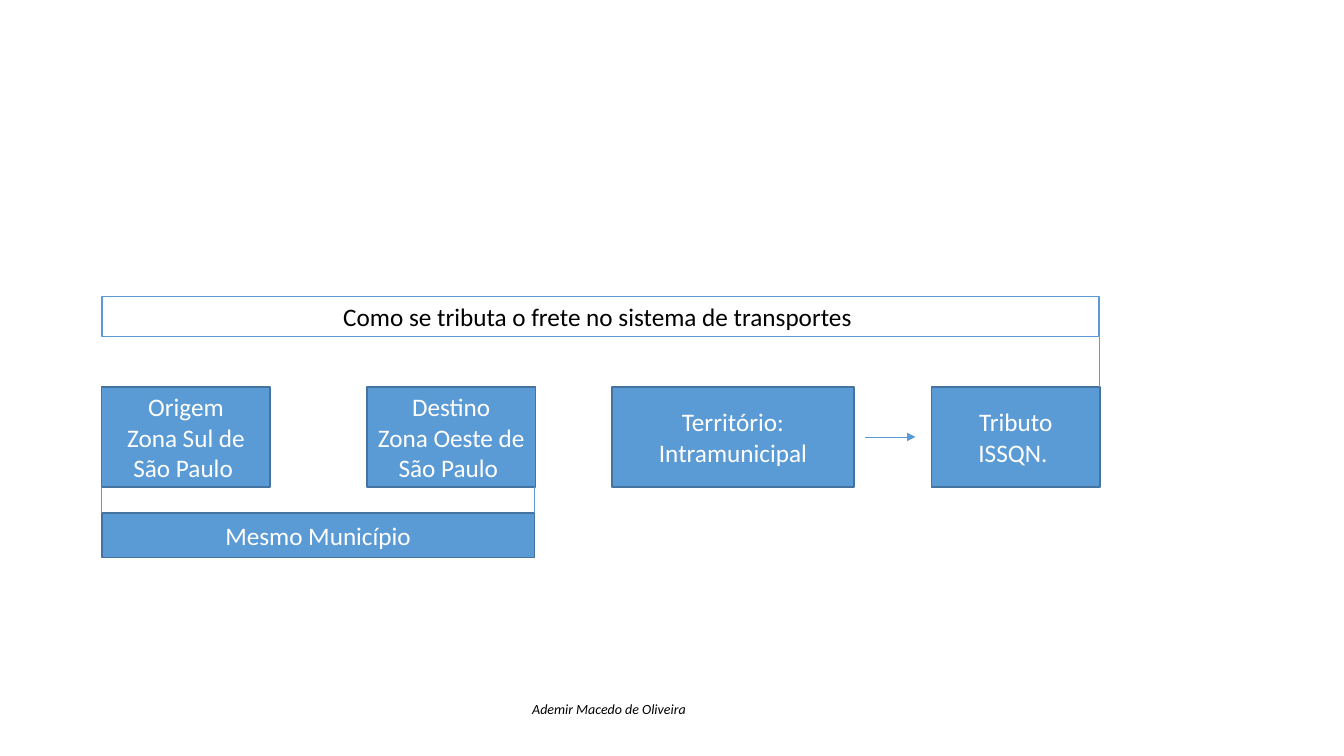
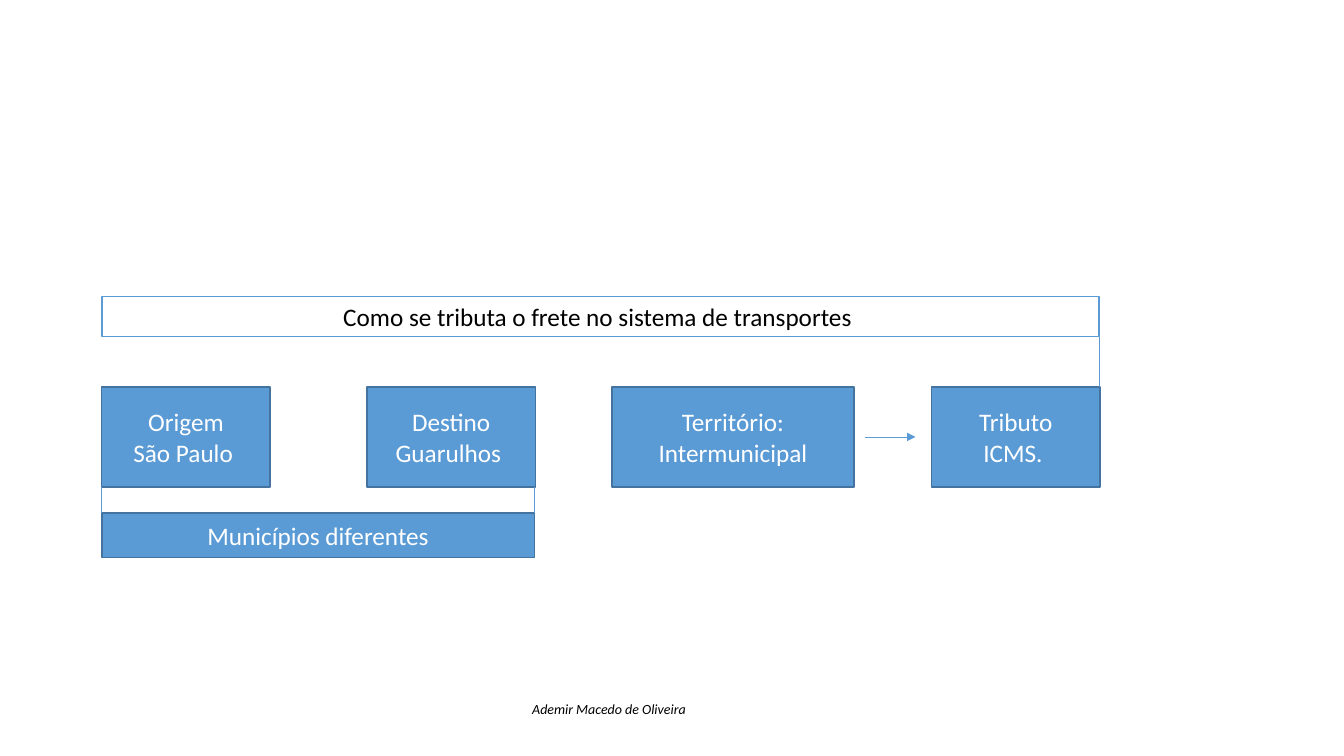
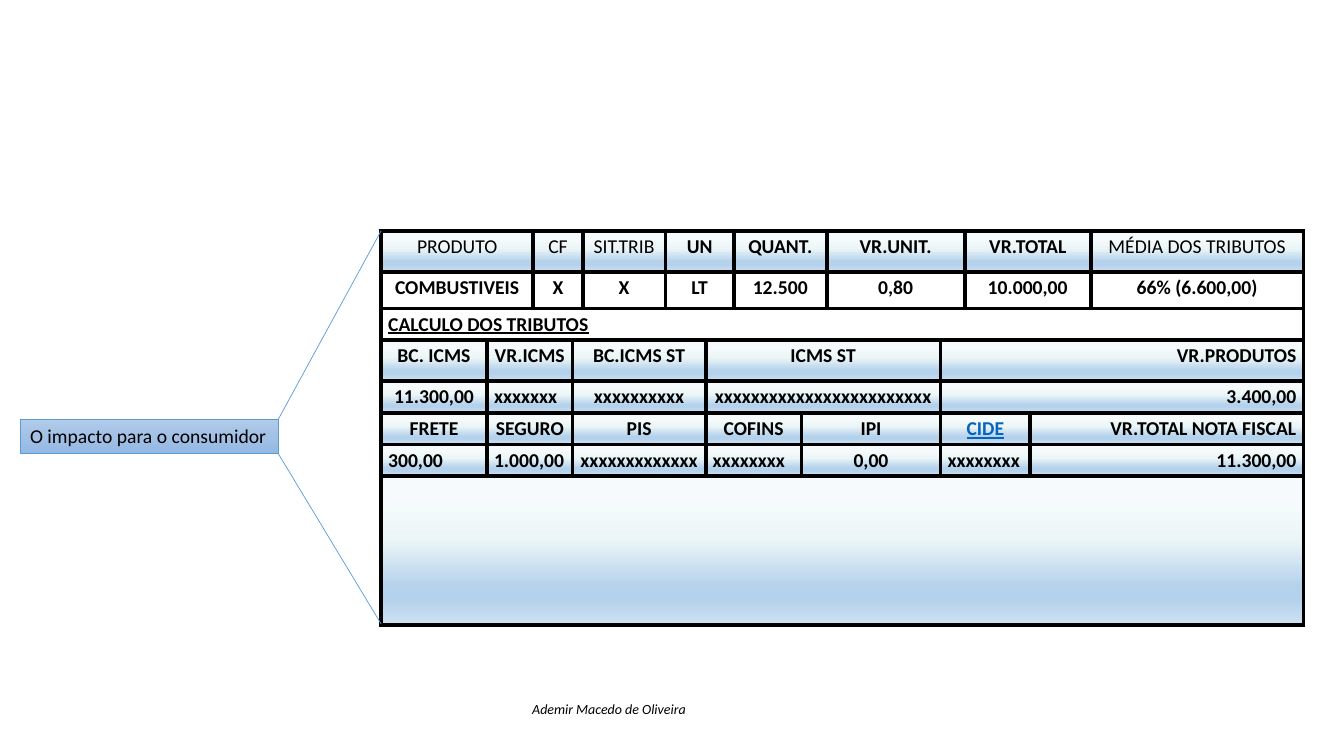
from dataclasses import dataclass

from lxml import etree
from pptx import Presentation
from pptx import util as u
from pptx.dml.color import RGBColor
from pptx.enum import shapes, text
from pptx.oxml.ns import qn

LEFT, CENTER = text.PP_ALIGN.LEFT, text.PP_ALIGN.CENTER
RIGHT, JUSTIFY = text.PP_ALIGN.RIGHT, text.PP_ALIGN.JUSTIFY


@dataclass(frozen=True)
class Theme:
    """Colours, gradients, font and sizes shared by the slides."""
    font: str = "Calibri"
    body: float = 18
    table: float = 14
    footer: float = 10
    outline: float = 1
    hairline: float = 0.5
    border: float = 3
    ink: str = "000000"
    paper: str = "FFFFFF"
    accent: str = "5B9BD5"
    edge: str = "43739E"
    link: str = "0563C1"
    label: tuple = ((0, "B1CBE9"), (50, "A3C1E5"), (100, "93B9E4"))
    sky: tuple = ((0, "F7FAFD"), (18, "F5FAFB"), (42, "ECF6F7"),
                  (74, "B5D2EC"), (83, "B5D2EC"), (100, "CEE1F2"))


THEME = Theme()
WIDTH, HEIGHT = 13.33, 7.5

COLUMNS = {"origin": (1.01, 1.67), "destination": (3.64, 1.67),
           "territory": (6.07, 2.4), "arrow": (8.58, 0.5), "tax": (9.24, 1.67),
           "all": (1.01, 9.89), "route": (1.01, 4.29), "footer": (3.88, 4.32),
           "label": (0.2, 2.56), "invoice": (3.78, 9.15)}
ROWS = {"heading": (2.94, 0.4), "cards": (3.84, 0.99), "band": (5.09, 0.44),
        "footer": (6.9, 0.27), "label": (4.16, 0.34), "invoice": (2.29, 3.9)}

INVOICE_COLUMNS = (1.05, 0.46, 0.39, 0.1, 0.82, 0.4, 0.28, 0.67,
                   0.25, 1.13, 0.24, 0.65, 0.6, 2.11)
ITEM_SPANS = (2, 2, 1, 2, 2, 2, 2, 1)
TAX_SPANS = (1, 2, 3, 4, 4)
TOTAL_SPANS = (1, 2, 3, 2, 2, 2, 2)
FULL_SPAN = (14,)
PLAIN = {"bold": False}
INVOICE_ROWS = (
    (0.41, THEME.sky, ITEM_SPANS,
     (("PRODUTO", PLAIN), ("CF", PLAIN), ("SIT.TRIB", PLAIN), "UN", "QUANT.",
      "VR.UNIT.", "VR.TOTAL", ("MÉDIA DOS TRIBUTOS", PLAIN))),
    (0.36, THEME.paper, ITEM_SPANS,
     ("COMBUSTIVEIS", "X", "X", "LT", "12.500", "0,80", "10.000,00",
      "66% (6.600,00)")),
    (0.31, THEME.paper, FULL_SPAN,
     (("CALCULO DOS TRIBUTOS", {"align": JUSTIFY, "underline": True}),)),
    (0.41, THEME.sky, TAX_SPANS,
     ("BC. ICMS", "VR.ICMS", "BC.ICMS ST", "ICMS ST",
      ("VR.PRODUTOS", {"align": RIGHT}))),
    (0.31, THEME.sky, TAX_SPANS,
     ("11.300,00", ("xxxxxxx", {"align": LEFT}), "xxxxxxxxxx",
      "xxxxxxxxxxxxxxxxxxxxxxxx", ("3.400,00", {"align": RIGHT}))),
    (0.31, THEME.sky, TOTAL_SPANS,
     ("FRETE", "SEGURO", "PIS", "COFINS", "IPI",
      ("CIDE", {"color": THEME.link, "underline": True}),
      ("VR.TOTAL NOTA FISCAL", {"align": RIGHT}))),
    (0.31, THEME.sky, TOTAL_SPANS,
     (("300,00", {"align": JUSTIFY}), ("1.000,00", {"align": JUSTIFY}),
      "xxxxxxxxxxxxx", ("xxxxxxxx", {"align": LEFT}), "0,00",
      ("xxxxxxxx", {"align": LEFT}), ("11.300,00", {"align": RIGHT}))),
    (1.48, THEME.sky, FULL_SPAN, ("",)),
)


def area(column, row):
    """Return left, top, width and height of a named grid area."""
    (left, width), (top, height) = COLUMNS[column], ROWS[row]
    return [u.Inches(value) for value in (left, top, width, height)]


def write(frame, content, size=THEME.body, color=THEME.ink, align=CENTER,
          bold=False, italic=False, underline=False):
    """Write each line of the content as one formatted paragraph."""
    for index, line in enumerate(content.split("\n")):
        para = frame.add_paragraph() if index else frame.paragraphs[0]
        para.alignment = align
        span = para.add_run()
        span.text = line
        font = span.font
        font.name, font.size = THEME.font, u.Pt(size)
        font.bold, font.italic, font.underline = bold, italic, underline
        font.color.rgb = RGBColor.from_string(color)


def paint(properties, fill):
    """Append a solid or a vertical gradient fill to the properties."""
    if isinstance(fill, str):
        solid = etree.SubElement(properties, qn("a:solidFill"))
        etree.SubElement(solid, qn("a:srgbClr"), val=fill)
        return
    gradient = etree.SubElement(properties, qn("a:gradFill"), rotWithShape="1")
    stops = etree.SubElement(gradient, qn("a:gsLst"))
    for position, color in fill:
        stop = etree.SubElement(stops, qn("a:gs"), pos=str(position * 1000))
        etree.SubElement(stop, qn("a:srgbClr"), val=color)
    etree.SubElement(gradient, qn("a:lin"), ang="5400000", scaled="0")


def add_box(page, place, content, fill=THEME.accent, line=THEME.edge,
            weight=THEME.outline, color=THEME.paper, grow=False, wrap=True,
            **style):
    """Add a filled and outlined rectangle with text."""
    box = page.shapes.add_shape(shapes.MSO_SHAPE.RECTANGLE, *place)
    paint(box._element.spPr, fill)
    box.line.color.rgb = RGBColor.from_string(line)
    box.line.width = u.Pt(weight)
    box.shadow.inherit = False
    frame = box.text_frame
    frame.word_wrap = wrap
    frame.vertical_anchor = text.MSO_ANCHOR.TOP if grow else text.MSO_ANCHOR.MIDDLE
    if grow:
        frame.auto_size = text.MSO_AUTO_SIZE.SHAPE_TO_FIT_TEXT
    write(frame, content, color=color, **style)
    return box


def add_line(page, start, end, arrow=False):
    """Add a thin line between two points, with an arrowhead on request."""
    line = page.shapes.add_connector(shapes.MSO_CONNECTOR.STRAIGHT, *start, *end)
    line.line.color.rgb = RGBColor.from_string(THEME.accent)
    line.line.width = u.Pt(THEME.hairline)
    properties = line._element.spPr
    if arrow:
        etree.SubElement(properties.find(qn("a:ln")), qn("a:tailEnd"), type="triangle")
    etree.SubElement(properties, qn("a:effectLst"))


def add_page(deck):
    """Add a blank page with the author footer."""
    page = deck.slides.add_slide(deck.slide_layouts[6])
    frame = page.shapes.add_textbox(*area("footer", "footer")).text_frame
    frame.word_wrap = True
    frame.auto_size = text.MSO_AUTO_SIZE.SHAPE_TO_FIT_TEXT
    write(frame, "Ademir Macedo de Oliveira", size=THEME.footer, italic=True)
    return page


def add_freight_page(deck, origin, destination, territory, tax, band):
    """Add a page that leads from a freight route to its tax."""
    page = add_page(deck)
    cards = {"origin": origin, "destination": destination,
             "territory": territory, "tax": tax}
    for column, content in cards.items():
        add_box(page, area(column, "cards"), content)
    add_box(page, area("all", "heading"),
            "Como se tributa o frete no sistema de transportes ",
            fill=THEME.paper, line=THEME.accent, color=THEME.ink, grow=True)
    add_box(page, area("route", "band"), band)

    left, top, width, height = area("all", "heading")
    _, card_top, _, card_height = area("origin", "cards")
    route_left, band_top, route_width, _ = area("route", "band")
    add_line(page, (left + width, top + height), (left + width, card_top))
    for x in (route_left, route_left + route_width):
        add_line(page, (x, card_top + card_height), (x, band_top))
    start, _, length, _ = area("arrow", "cards")
    middle = card_top + card_height // 2
    add_line(page, (start, middle), (start + length, middle), arrow=True)


def frame_cell(cell, fill):
    """Give a table cell its margins, borders and fill."""
    cell.margin_left = cell.margin_right = u.Inches(0.07)
    cell.margin_top = cell.margin_bottom = u.Inches(0.04)
    properties = cell._tc.get_or_add_tcPr()
    for side in ("a:lnL", "a:lnR", "a:lnT", "a:lnB"):
        border = etree.SubElement(properties, qn(side), w=str(u.Pt(THEME.border)))
        paint(border, THEME.ink)
    paint(properties, fill)


def add_invoice(page):
    """Add the invoice table with its merged cells."""
    table = page.shapes.add_table(len(INVOICE_ROWS), len(INVOICE_COLUMNS),
                                  *area("invoice", "invoice")).table
    table.first_row = table.horz_banding = False
    for column, width in zip(table.columns, INVOICE_COLUMNS):
        column.width = u.Inches(width)
    for row, (height, fill, spans, entries) in enumerate(INVOICE_ROWS):
        table.rows[row].height = u.Inches(height)
        for cell in table.rows[row].cells:
            frame_cell(cell, fill)
        first = 0
        for width, entry in zip(spans, entries):
            content, style = (entry, {}) if isinstance(entry, str) else entry
            cell = table.cell(row, first)
            if width > 1:
                cell.merge(table.cell(row, first + width - 1))
            if content:
                write(cell.text_frame, content,
                      **{"size": THEME.table, "bold": True, **style})
            first += width


def add_consumer_page(deck):
    """Add the invoice page with its label and two guide lines."""
    page = add_page(deck)
    place = area("label", "label")
    add_box(page, place, "O impacto para o consumidor", fill=THEME.label,
            line=THEME.accent, weight=THEME.hairline, color=THEME.ink,
            size=THEME.table, align=LEFT, grow=True, wrap=False)
    add_invoice(page)
    left, top, width, height = place
    table_left, table_top, _, table_height = area("invoice", "invoice")
    add_line(page, (left + width, top), (table_left, table_top))
    add_line(page, (left + width, top + height),
             (table_left, table_top + table_height))


def main():
    """Build and save the deck."""
    deck = Presentation()
    deck.slide_width, deck.slide_height = u.Inches(WIDTH), u.Inches(HEIGHT)
    add_freight_page(deck, "Origem\nZona Sul de São Paulo ",
                     "Destino\nZona Oeste de São Paulo ",
                     "Território:\nIntramunicipal", "Tributo\nISSQN. ",
                     "Mesmo Município")
    add_freight_page(deck, "Origem\nSão Paulo ", "Destino\nGuarulhos ",
                     "Território:\nIntermunicipal", "Tributo\nICMS. ",
                     "Municípios diferentes")
    add_consumer_page(deck)
    deck.save("out.pptx")


if __name__ == "__main__":
    main()
